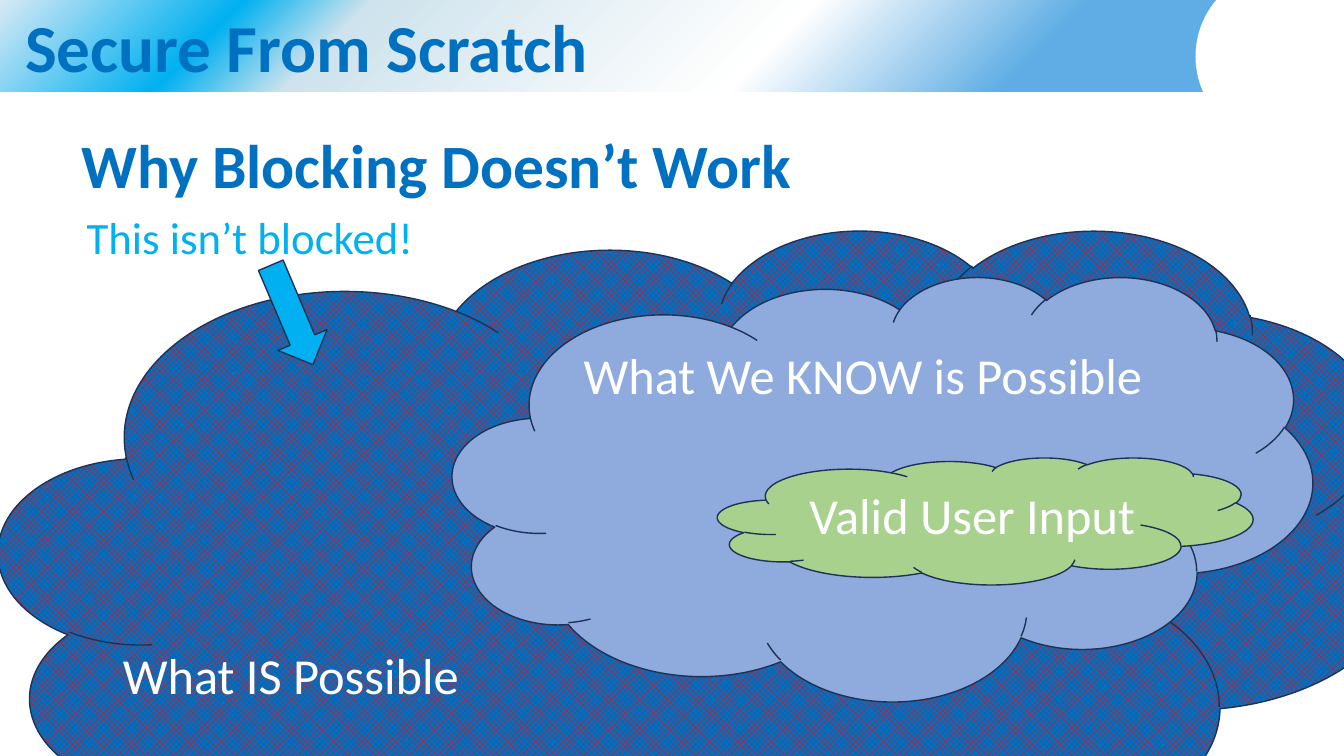
from dataclasses import dataclass

import pptx
import pptx.dml.color
import pptx.enum.dml
import pptx.enum.shapes
import pptx.enum.text
import pptx.oxml
import pptx.oxml.ns
import pptx.util

SHAPES = pptx.enum.shapes.MSO_SHAPE
ANCHOR = pptx.enum.text.MSO_ANCHOR
SLIDE_WIDTH = pptx.util.Inches(13.333)
SLIDE_HEIGHT = pptx.util.Inches(7.5)


@dataclass(frozen=True)
class Theme:
    font: str = "Calibri"
    heading: str = "0070C0"
    accent: str = "00B0F0"
    paper: str = "FFFFFF"
    outline: str = "1E3256"
    hatch: str = "FF0000"
    known: str = "8FAADC"
    valid: str = "A9D18E"
    banner_stops: tuple = (
        (24, "5FADE4"), (43, "FFFFFF"), (74, "CEE3ED"), (83, "00B0F0"), (100, "D7E9F5"),
    )
    banner_size: int = 48
    title_size: int = 44
    label_size: int = 36
    note_size: int = 32


THEME = Theme()


@dataclass(frozen=True)
class Area:
    """A rectangle in percent of the slide's width and height."""
    left: float
    top: float
    width: float
    height: float

    def lengths(self) -> tuple[int, int, int, int]:
        return (
            round(SLIDE_WIDTH * self.left / 100),
            round(SLIDE_HEIGHT * self.top / 100),
            round(SLIDE_WIDTH * self.width / 100),
            round(SLIDE_HEIGHT * self.height / 100),
        )


@dataclass(frozen=True)
class Figure:
    kind: SHAPES
    area: Area
    color: str
    hatch: str | None = None
    outline: str | None = THEME.outline
    rotation: float = 0


@dataclass(frozen=True)
class Label:
    text: str
    area: Area
    color: str = THEME.paper
    size: int = THEME.label_size


BANNER = Figure(SHAPES.RECTANGLE, Area(0, 0, 100, 12.13), THEME.paper, outline=None)
BANNER_CUTOUT = Figure(
    SHAPES.OVAL, Area(88.95, -4.13, 13.13, 23.2), THEME.paper, outline=None
)
CLOUDS = (
    Figure(SHAPES.CLOUD, Area(-0.08, 30.27, 104.93, 90.8), THEME.heading, THEME.hatch),
    Figure(SHAPES.CLOUD, Area(33.68, 36.53, 63.98, 56.13), THEME.known),
    Figure(SHAPES.CLOUD, Area(53.4, 60.53, 39.83, 16.8), THEME.valid),
)
ARROW = Figure(
    SHAPES.RIGHT_ARROW, Area(17.7, 38.13, 8.03, 7.07), THEME.accent, rotation=67
)
TITLE_AREA = Area(5.33, 13.87, 94.65, 16.8)
LABELS = (
    Label("What IS Possible", Area(8.4, 84.53, 26.78, 9.47)),
    Label("What We KNOW is Possible", Area(42.68, 44.93, 43.5, 9.47)),
    Label("Valid User Input", Area(59.48, 63.33, 25.95, 9.47)),
    Label("This isn’t blocked!", Area(5.7, 27.07, 26.1, 8.53), THEME.accent, THEME.note_size),
)


def rgb(color: str) -> pptx.dml.color.RGBColor:
    return pptx.dml.color.RGBColor.from_string(color)


def draw_figure(slide, figure: Figure):
    shape = slide.shapes.add_shape(figure.kind, *figure.area.lengths())
    shape.shadow.inherit = False
    shape.rotation = figure.rotation
    if figure.hatch:
        shape.fill.patterned()
        shape.fill.pattern = pptx.enum.dml.MSO_PATTERN.SOLID_DIAMOND
        shape.fill.fore_color.rgb = rgb(figure.hatch)
        shape.fill.back_color.rgb = rgb(figure.color)
    else:
        shape.fill.solid()
        shape.fill.fore_color.rgb = rgb(figure.color)
    if figure.outline:
        shape.line.color.rgb = rgb(figure.outline)
        shape.line.width = pptx.util.Pt(1)
    else:
        shape.line.fill.background()
    return shape


def apply_gradient(shape, stops: tuple, angle: float) -> None:
    """Fill with any number of (percent, colour) stops; the angle is counter-clockwise."""
    shape.fill.gradient()
    shape.fill.gradient_angle = angle
    stop_list = shape.element.spPr.find(".//" + pptx.oxml.ns.qn("a:gsLst"))
    for stop in list(stop_list):
        stop_list.remove(stop)
    for percent, color in stops:
        stop_list.append(pptx.oxml.parse_xml(
            f'<a:gs {pptx.oxml.ns.nsdecls("a")} pos="{percent * 1000}">'
            f'<a:srgbClr val="{color}"/></a:gs>'
        ))


def add_text(
    slide, text: str, area: Area, *, size: int, color: str, bold: bool = False,
    wrap: bool = False, anchor: ANCHOR = ANCHOR.TOP, inset: float = 0.1,
    line_spacing: float = 1.0,
) -> None:
    frame = slide.shapes.add_textbox(*area.lengths()).text_frame
    frame.word_wrap = wrap
    frame.vertical_anchor = anchor
    frame.margin_left = pptx.util.Inches(inset)
    paragraph = frame.paragraphs[0]
    paragraph.line_spacing = line_spacing
    run = paragraph.add_run()
    run.text = text
    run.font.name = THEME.font
    run.font.size = pptx.util.Pt(size)
    run.font.bold = bold
    run.font.color.rgb = rgb(color)


def main() -> None:
    presentation = pptx.Presentation()
    presentation.slide_width = SLIDE_WIDTH
    presentation.slide_height = SLIDE_HEIGHT
    slide = presentation.slides.add_slide(presentation.slide_layouts[6])

    apply_gradient(draw_figure(slide, BANNER), THEME.banner_stops, angle=135)
    draw_figure(slide, BANNER_CUTOUT)
    add_text(
        slide, "Secure From Scratch", BANNER.area, size=THEME.banner_size,
        color=THEME.heading, bold=True, wrap=True, inset=0.25,
    )
    for figure in (*CLOUDS, ARROW):
        draw_figure(slide, figure)
    add_text(
        slide, "Why Blocking Doesn’t Work", TITLE_AREA, size=THEME.title_size,
        color=THEME.heading, bold=True, wrap=True, anchor=ANCHOR.MIDDLE, line_spacing=0.9,
    )
    for label in LABELS:
        add_text(slide, label.text, label.area, size=label.size, color=label.color)

    presentation.save("out.pptx")


if __name__ == "__main__":
    main()
